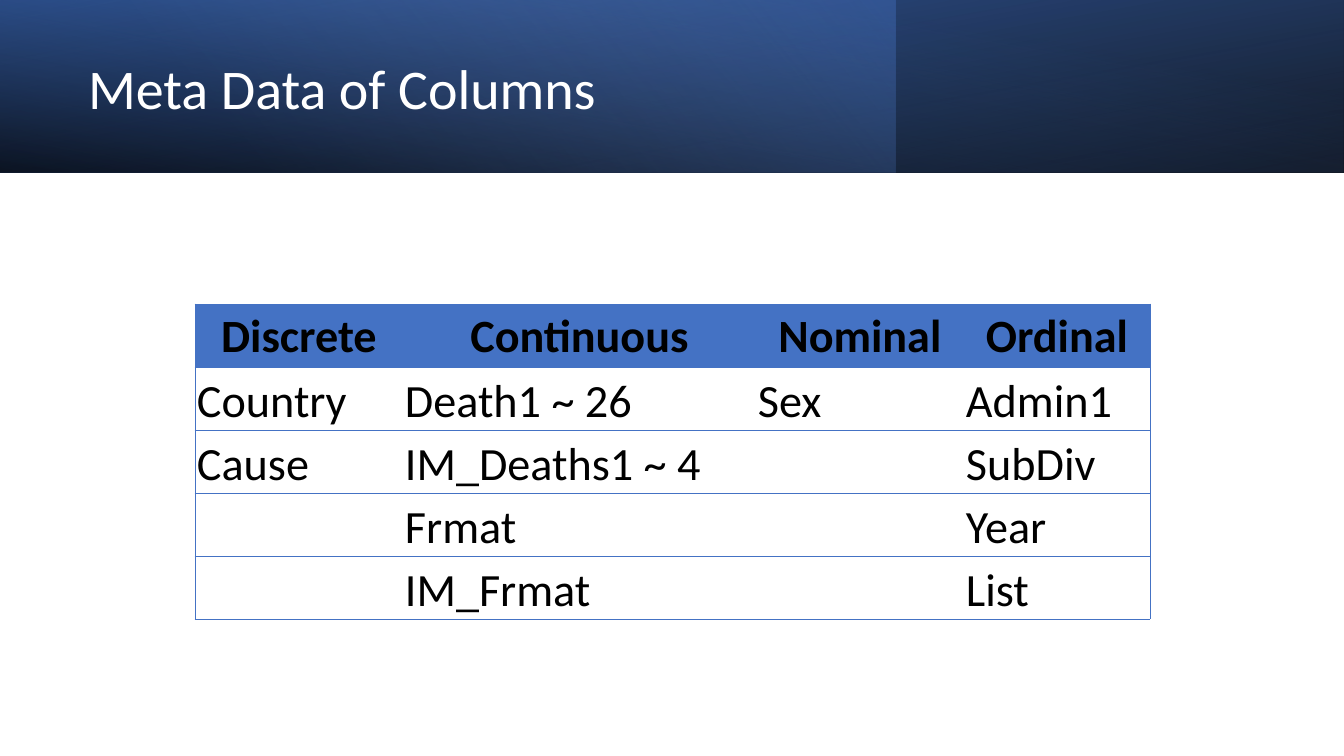
from dataclasses import dataclass

from lxml.etree import SubElement
from pptx import Presentation
from pptx.dml.color import RGBColor
from pptx.enum.shapes import MSO_SHAPE as Preset
from pptx.enum.text import MSO_ANCHOR as Anchor, MSO_AUTO_SIZE as AutoSize, PP_ALIGN as Align
from pptx.oxml.ns import qn
from pptx.util import Emu, Pt

EMU_PER_PX = 12192000 / 1344


def px(length):
    return Emu(round(length * EMU_PER_PX))


@dataclass(frozen=True)
class Theme:
    font: str = "Calibri"
    title_size: int = 40
    table_size: int = 33
    border_width: float = 0.5
    white: str = "FFFFFF"
    black: str = "000000"
    blue: str = "4472C4"
    deep_blue: str = "2F5597"
    light_blue: str = "8FAADC"


class SlideBuilder:
    def __init__(self, slide, theme):
        self.slide = slide
        self.theme = theme

    def add_run(self, paragraph, text, size, color, bold=False):
        run = paragraph.add_run()
        run.text = text
        run.font.name = self.theme.font
        run.font.size = Pt(size)
        run.font.bold = bold
        run.font.color.rgb = RGBColor.from_string(color)

    def add_gradient_band(self, width, height, stops, angle, rotation=0, flip=False):
        """Stops are (position %, colour, opacity %); the angle runs clockwise."""
        shape = self.slide.shapes.add_shape(Preset.RECTANGLE, 0, 0, px(width), px(height))
        shape.shadow.inherit = False
        shape.line.fill.background()
        shape.rotation = rotation
        if flip:
            shape._element.spPr.find(qn("a:xfrm")).set("flipH", "1")
        shape.fill.gradient()
        shape.fill.gradient_angle = 360 - angle
        for gradient_stop, (position, color, _) in zip(shape.fill.gradient_stops, stops):
            gradient_stop.position = position / 100
            gradient_stop.color.rgb = RGBColor.from_string(color)
        colors = shape._element.spPr.find(qn("a:gradFill")).iter(qn("a:srgbClr"))
        for color_element, (_, _, opacity) in zip(colors, stops):
            SubElement(color_element, qn("a:alpha"), val=str(opacity * 1000))

    def add_title(self, text, left, top, width, height):
        title = self.slide.shapes.title
        title.left, title.top, title.width, title.height = map(px, (left, top, width, height))
        self.slide.shapes._spTree.append(title._element)  # bring above the banner
        frame = title.text_frame
        frame.word_wrap = True
        frame.auto_size = AutoSize.NONE
        frame.vertical_anchor = Anchor.MIDDLE
        paragraph = frame.paragraphs[0]
        paragraph.alignment = Align.LEFT
        paragraph.line_spacing = 0.9
        self.add_run(paragraph, text, self.theme.title_size, self.theme.white)

    def set_borders(self, cell, visible_sides):
        properties = cell._tc.get_or_add_tcPr()
        for side in "LRTB":
            line = SubElement(properties, qn(f"a:ln{side}"),
                              w=str(Pt(self.theme.border_width)))
            if side in visible_sides:
                fill = SubElement(line, qn("a:solidFill"))
                SubElement(fill, qn("a:srgbClr"), val=self.theme.blue)
            else:
                SubElement(line, qn("a:noFill"))

    def format_cell(self, cell, text, is_header):
        cell.margin_left = cell.margin_right = cell.margin_top = px(2)
        cell.margin_bottom = 0
        cell.vertical_anchor = Anchor.MIDDLE if is_header else Anchor.BOTTOM
        if is_header:
            cell.fill.solid()
            cell.fill.fore_color.rgb = RGBColor.from_string(self.theme.blue)
        else:
            cell.fill.background()
        if text:
            paragraph = cell.text_frame.paragraphs[0]
            paragraph.alignment = Align.CENTER if is_header else Align.LEFT
            self.add_run(paragraph, text, self.theme.table_size, self.theme.black, is_header)

    def add_table(self, rows, left, top, column_widths, row_height):
        last_column = len(column_widths) - 1
        table = self.slide.shapes.add_table(
            len(rows), len(column_widths), px(left), px(top),
            px(sum(column_widths)), px(row_height * len(rows))).table
        table.horz_banding = False
        for column, width in zip(table.columns, column_widths):
            column.width = px(width)
        for row_index, texts in enumerate(rows):
            table.rows[row_index].height = px(row_height)
            for column_index, text in enumerate(texts):
                cell = table.cell(row_index, column_index)
                sides = "TB" + "L" * (column_index == 0) + "R" * (column_index == last_column)
                self.set_borders(cell, sides)
                self.format_cell(cell, text, is_header=row_index == 0)


def main():
    theme = Theme()
    presentation = Presentation()
    presentation.slide_width, presentation.slide_height = px(1344), px(756)
    slide = presentation.slides.add_slide(presentation.slide_layouts[5])
    builder = SlideBuilder(slide, theme)

    # Banner made of three layered gradients
    banner_height = 173
    builder.add_gradient_band(1344, banner_height,
                              [(0, theme.black, 96), (100, theme.deep_blue, 100)],
                              angle=100, rotation=180, flip=True)
    builder.add_gradient_band(896, banner_height,
                              [(0, theme.blue, 41), (74, theme.light_blue, 0)], angle=140)
    builder.add_gradient_band(1344, banner_height,
                              [(0, theme.black, 63), (78, theme.blue, 15)],
                              angle=260, flip=True)

    # Title
    builder.add_title("Meta Data of Columns", 78, 27, 778, 128)

    # Column types
    column_types = [
        ("Discrete", "Continuous", "Nominal", "Ordinal"),
        ("Country", "Death1 ~ 26", "Sex", "Admin1"),
        ("Cause", "IM_Deaths1 ~ 4", "", "SubDiv"),
        ("", "Frmat", "", "Year"),
        ("", "IM_Frmat", "", "List"),
    ]
    builder.add_table(column_types, 195, 304, [208, 353, 208, 186], 63)

    presentation.save("out.pptx")


if __name__ == "__main__":
    main()
